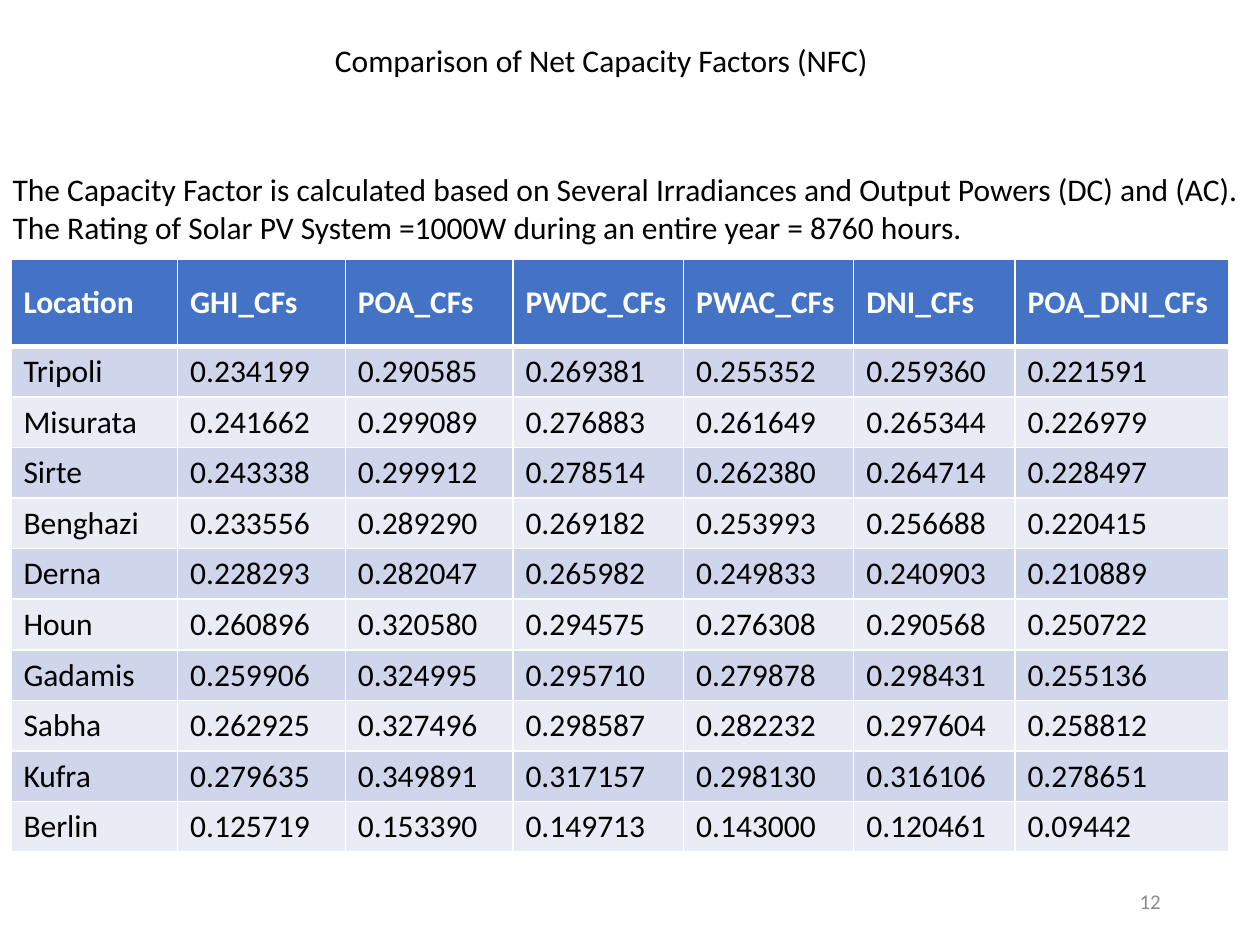
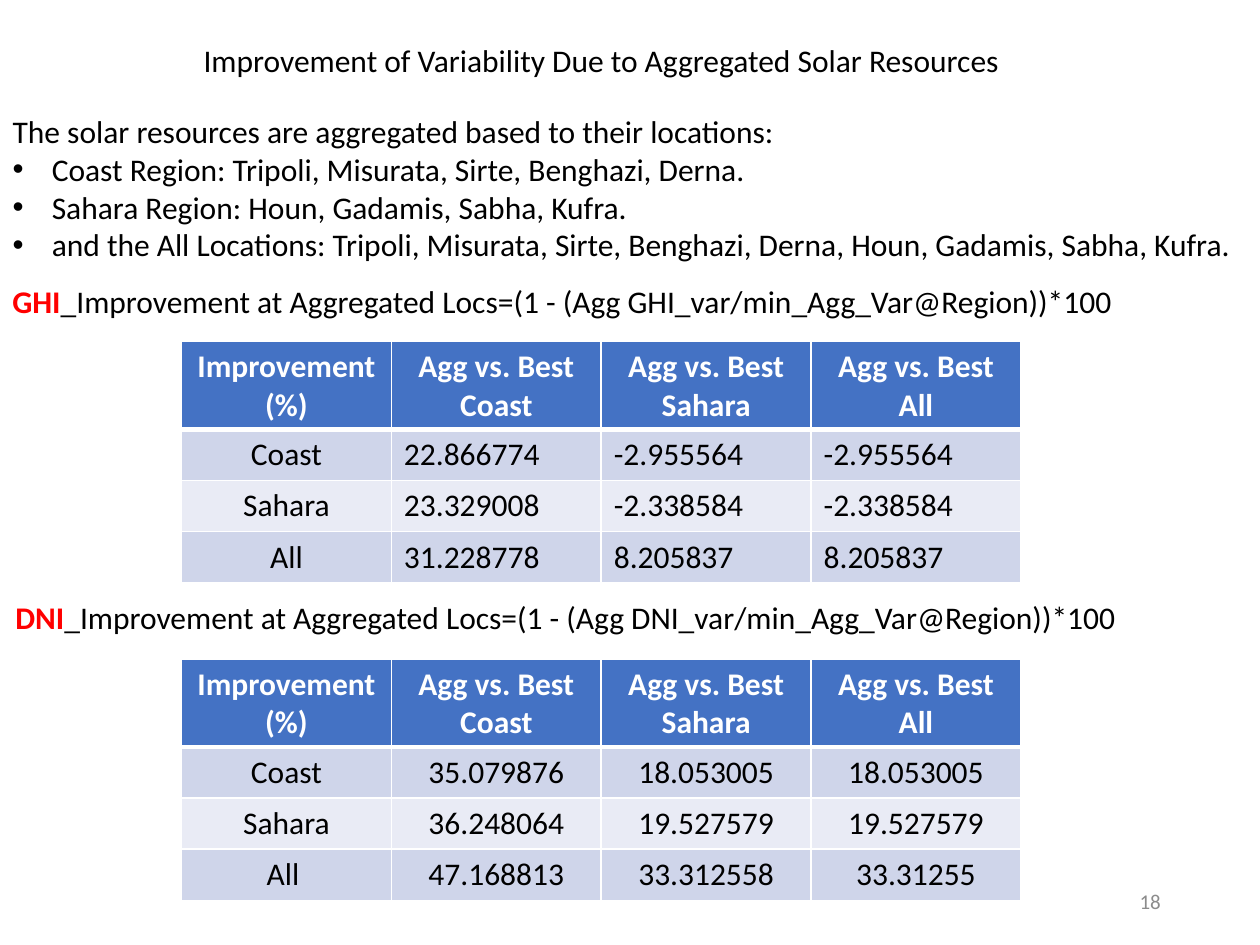
from lxml import etree
from pptx import Presentation
from pptx.dml.color import RGBColor
from pptx.enum.text import MSO_ANCHOR, MSO_AUTO_SIZE, PP_ALIGN
from pptx.oxml.ns import qn
from pptx.util import Cm, Pt

LEFT, CENTER, RIGHT = PP_ALIGN.LEFT, PP_ALIGN.CENTER, PP_ALIGN.RIGHT
TOP, MIDDLE = MSO_ANCHOR.TOP, MSO_ANCHOR.MIDDLE
FIXED_SIZE = MSO_AUTO_SIZE.NONE

FONT = "Calibri"
COLORS = {
    "text": "000000",
    "accent": "FF0000",
    "page": "8C8C8C",
    "header": "4472C4",
    "header_text": "FFFFFF",
    "odd_row": "CFD5EA",
    "even_row": "E9EBF5",
    "grid": "FFFFFF",
}
TITLE_AREA = (2.74, 0.69, 18.77, 1.02)
PAGE_AREA = (17.93, 17.65, 5.72, 1.02)
HEADER_HEIGHT = 1.75
BULLET_INDENT = 0.79

CAPACITY_INTRO = [
    "The Capacity Factor is calculated based on Several Irradiances and Output Powers (DC) and (AC).",
    "The Rating of Solar PV System =1000W during an entire year = 8760 hours.",
]
CAPACITY_WIDTHS = [3.36, 3.38, 3.38, 3.44, 3.43, 3.25, 4.31]
CAPACITY_FACTORS = [
    ["Location", "GHI_CFs", "POA_CFs", "PWDC_CFs", "PWAC_CFs", "DNI_CFs", "POA_DNI_CFs"],
    ["Tripoli", "0.234199", "0.290585", "0.269381", "0.255352", "0.259360", "0.221591"],
    ["Misurata", "0.241662", "0.299089", "0.276883", "0.261649", "0.265344", "0.226979"],
    ["Sirte", "0.243338", "0.299912", "0.278514", "0.262380", "0.264714", "0.228497"],
    ["Benghazi", "0.233556", "0.289290", "0.269182", "0.253993", "0.256688", "0.220415"],
    ["Derna", "0.228293", "0.282047", "0.265982", "0.249833", "0.240903", "0.210889"],
    ["Houn", "0.260896", "0.320580", "0.294575", "0.276308", "0.290568", "0.250722"],
    ["Gadamis", "0.259906", "0.324995", "0.295710", "0.279878", "0.298431", "0.255136"],
    ["Sabha", "0.262925", "0.327496", "0.298587", "0.282232", "0.297604", "0.258812"],
    ["Kufra", "0.279635", "0.349891", "0.317157", "0.298130", "0.316106", "0.278651"],
    ["Berlin", "0.125719", "0.153390", "0.149713", "0.143000", "0.120461", "0.09442"],
]

REGIONS_INTRO = [
    "The solar resources are aggregated based to their locations:",
    "Coast Region: Tripoli, Misurata, Sirte, Benghazi, Derna.",
    "Sahara Region: Houn, Gadamis, Sabha, Kufra.",
    "and the All Locations: Tripoli, Misurata, Sirte, Benghazi, Derna, Houn, Gadamis, Sabha, Kufra.",
]
IMPROVEMENT_HEADER = [
    "Improvement\n(%)", "Agg vs. Best Coast", "Agg vs. Best Sahara", "Agg vs. Best All",
]
GHI_IMPROVEMENT = [
    ["Coast", "22.866774", "-2.955564", "-2.955564"],
    ["Sahara", "23.329008", "-2.338584", "-2.338584"],
    ["All", "31.228778", "8.205837", "8.205837"],
]
DNI_IMPROVEMENT = [
    ["Coast", "35.079876", "18.053005", "18.053005"],
    ["Sahara", "36.248064", "19.527579", "19.527579"],
    ["All ", "47.168813", "33.312558", "33.31255"],
]


def rgb(name):
    return RGBColor.from_string(COLORS[name])


def place(shape, area):
    shape.left, shape.top, shape.width, shape.height = map(Cm, area)


def write_text(frame, lines, size=18, color="text", bold=False, align=LEFT,
               anchor=TOP, lead=""):
    frame.word_wrap = True
    frame.vertical_anchor = anchor
    for index, line in enumerate(lines):
        paragraph = frame.paragraphs[0] if index == 0 else frame.add_paragraph()
        paragraph.alignment = align
        paragraph.space_before = Pt(0)
        runs = [(line, color, bold)]
        if lead and index == 0:
            runs.insert(0, (lead, "accent", True))
        for text, run_color, run_bold in runs:
            run = paragraph.add_run()
            run.text = text
            run.font.name = FONT
            run.font.size = Pt(size)
            run.font.bold = run_bold
            run.font.color.rgb = rgb(run_color)


def set_bullet(paragraph, bulleted):
    properties = paragraph._p.get_or_add_pPr()
    indent = Cm(BULLET_INDENT) if bulleted else 0
    properties.set("marL", str(indent))
    properties.set("indent", str(-indent))
    if bulleted:
        etree.SubElement(properties, qn("a:buFont"), typeface="Arial")
        etree.SubElement(properties, qn("a:buChar"), char="•")
    else:
        etree.SubElement(properties, qn("a:buNone"))


def add_text(slide, area, text, **text_format):
    box = slide.shapes.add_textbox(*map(Cm, area))
    write_text(box.text_frame, [text], **text_format)


def add_formula(slide, area, irradiance):
    formula = f"_Improvement at Aggregated Locs=(1 - (Agg {irradiance}_var/min_Agg_Var@Region))*100"
    add_text(slide, area, formula, lead=irradiance)


def add_content_slide(deck, title, intro, intro_area, page):
    slide = deck.slides.add_slide(deck.slide_layouts[1])
    heading, body = slide.placeholders
    for placeholder, area in ((heading, TITLE_AREA), (body, intro_area)):
        place(placeholder, area)
        placeholder.text_frame.auto_size = FIXED_SIZE
    write_text(heading.text_frame, [title], align=CENTER)
    write_text(body.text_frame, intro)
    add_text(slide, PAGE_AREA, page, size=12, color="page", align=RIGHT, anchor=MIDDLE)
    return slide


def set_borders(cell, top, bottom):
    properties = cell._tc.get_or_add_tcPr()
    sides = (("L", 1), ("R", 1), ("T", top), ("B", bottom))
    for position, (side, width) in enumerate(sides):
        line = etree.Element(qn(f"a:ln{side}"), w=str(Pt(width)))
        fill = etree.SubElement(line, qn("a:solidFill"))
        etree.SubElement(fill, qn("a:srgbClr"), val=COLORS["grid"])
        properties.insert(position, line)


def add_data_table(slide, left, top, widths, row_height, rows,
                   label_align=LEFT, value_align=LEFT):
    height = HEADER_HEIGHT + row_height * (len(rows) - 1)
    table = slide.shapes.add_table(
        len(rows), len(widths), Cm(left), Cm(top), Cm(sum(widths)), Cm(height)).table
    for column, width in zip(table.columns, widths):
        column.width = Cm(width)
    for row_index, values in enumerate(rows):
        is_header = row_index == 0
        table.rows[row_index].height = Cm(HEADER_HEIGHT if is_header else row_height)
        band = "header" if is_header else "odd_row" if row_index % 2 else "even_row"
        for column_index, value in enumerate(values):
            cell = table.cell(row_index, column_index)
            cell.fill.solid()
            cell.fill.fore_color.rgb = rgb(band)
            is_label = is_header or column_index == 0
            write_text(cell.text_frame, value.split("\n"), bold=is_header,
                       color="header_text" if is_header else "text",
                       align=label_align if is_label else value_align)
            cell.vertical_anchor = MIDDLE
            set_borders(cell, top=3 if row_index == 1 else 1, bottom=3 if is_header else 1)


def add_improvement_table(slide, top, rows, value_align):
    add_data_table(slide, 3.66, top, [4.23] * 4, 1.03, [IMPROVEMENT_HEADER] + rows,
                   label_align=CENTER, value_align=value_align)


def build_capacity_slide(deck):
    slide = add_content_slide(deck, "Comparison of Net Capacity Factors (NFC)",
                              CAPACITY_INTRO, (0, 3.3, 25.4, 1.8), "12")
    for paragraph in slide.placeholders[1].text_frame.paragraphs:
        set_bullet(paragraph, False)
    add_data_table(slide, 0.22, 5.23, CAPACITY_WIDTHS, 1.02, CAPACITY_FACTORS)


def build_improvement_slide(deck):
    slide = add_content_slide(
        deck, "Improvement of Variability Due to Aggregated Solar Resources",
        REGIONS_INTRO, (0, 2.13, 25.4, 3.33), "18")
    for index, paragraph in enumerate(slide.placeholders[1].text_frame.paragraphs):
        set_bullet(paragraph, index > 0)
    add_formula(slide, (0, 5.56, 24.3, 1.02), "GHI")
    add_improvement_table(slide, 6.88, GHI_IMPROVEMENT, LEFT)
    add_formula(slide, (0.06, 11.94, 23.6, 1.02), "DNI")
    add_improvement_table(slide, 13.28, DNI_IMPROVEMENT, CENTER)


def main():
    deck = Presentation()
    deck.slide_width, deck.slide_height = Cm(25.4), Cm(19.05)
    build_capacity_slide(deck)
    build_improvement_slide(deck)
    deck.save("out.pptx")


if __name__ == "__main__":
    main()
